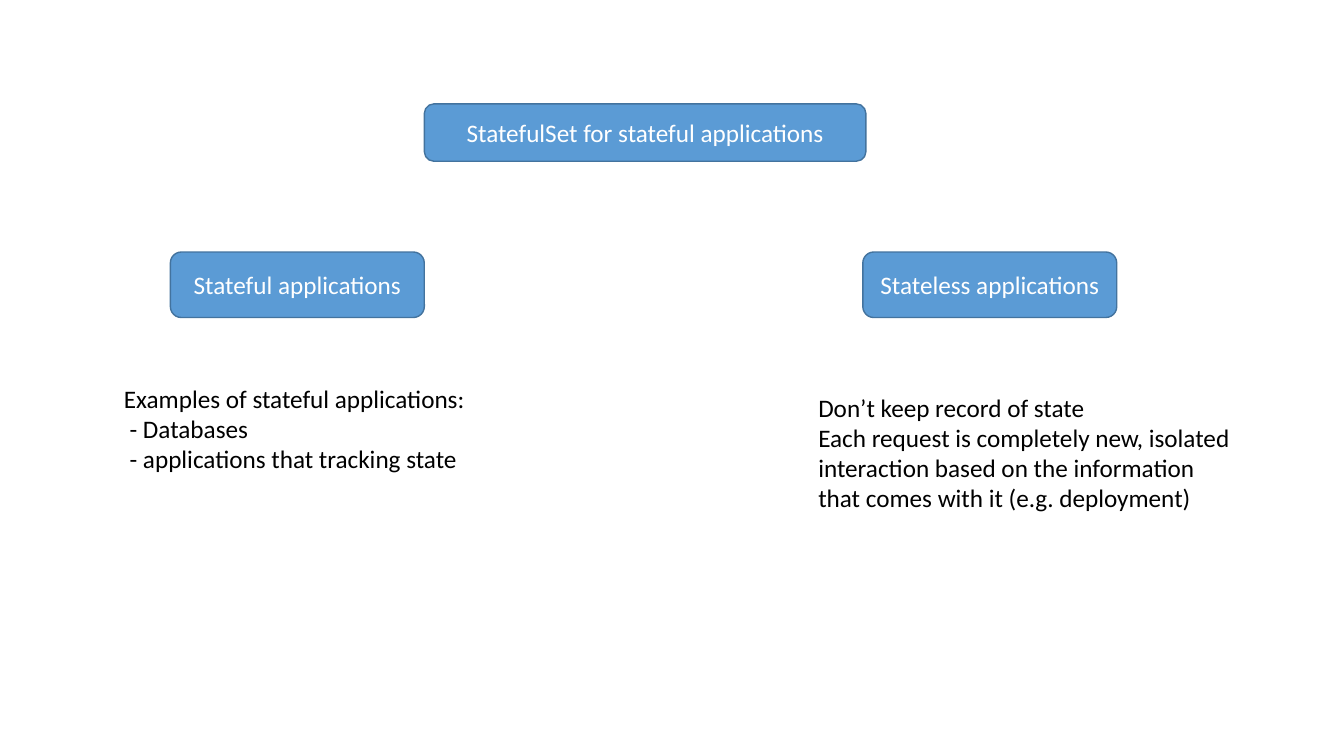
"""Build a slide that contrasts stateful and stateless applications."""
import pptx
import pptx.dml.color
import pptx.enum.shapes
import pptx.enum.text
import pptx.util

Pt = pptx.util.Pt
Color = pptx.dml.color.RGBColor
Align = pptx.enum.text.PP_ALIGN
BLUE = Color(0x5B, 0x9B, 0xD5)
EDGE = Color(0x43, 0x73, 0x9E)
WHITE = Color(0xFF, 0xFF, 0xFF)
BLACK = Color(0x00, 0x00, 0x00)

WIDE = 315.4
KIND_TOP, KIND_WIDTH, KIND_HEIGHT = 180, 181.4, 46.8
KINDS = [
    ("Stateful applications", 121.7, 81.4, 270, 72.7,
     "Examples of stateful applications:\n"
     " - Databases\n"
     " - applications that tracking state"),
    ("Stateless applications", 616.3, 577.4, 276.5, 94.3,
     "Don’t keep record of state\n"
     "Each request is completely new, isolated interaction based on "
     "the information that comes with it (e.g. deployment)"),
]


def write(frame, text, color, align):
    frame.text = text
    frame.word_wrap = True
    for para in frame.paragraphs:
        para.alignment = align
        for run in para.runs:
            run.font.name = "Calibri"
            run.font.size = Pt(18)
            run.font.color.rgb = color


def add_label(slide, text, left, top, width, height):
    label = slide.shapes.add_shape(
        pptx.enum.shapes.MSO_SHAPE.ROUNDED_RECTANGLE,
        Pt(left), Pt(top), Pt(width), Pt(height))
    label.shadow.inherit = False
    label.fill.solid()
    label.fill.fore_color.rgb = BLUE
    label.line.color.rgb = EDGE
    label.line.width = Pt(1)
    label.text_frame.vertical_anchor = pptx.enum.text.MSO_ANCHOR.MIDDLE
    write(label.text_frame, text, WHITE, Align.CENTER)


def add_note(slide, text, left, top, height):
    note = slide.shapes.add_textbox(Pt(left), Pt(top), Pt(WIDE), Pt(height))
    note.text_frame.auto_size = pptx.enum.text.MSO_AUTO_SIZE.SHAPE_TO_FIT_TEXT
    write(note.text_frame, text, BLACK, Align.LEFT)


def main():
    deck = pptx.Presentation()
    deck.slide_width, deck.slide_height = Pt(960), Pt(540)
    slide = deck.slides.add_slide(deck.slide_layouts[6])
    add_label(slide, "StatefulSet for stateful applications",
              303.1, 74.2, WIDE, 41)
    for name, left, note_left, note_top, note_height, note in KINDS:
        add_label(slide, name, left, KIND_TOP, KIND_WIDTH, KIND_HEIGHT)
        add_note(slide, note, note_left, note_top, note_height)
    deck.save("out.pptx")


main()
